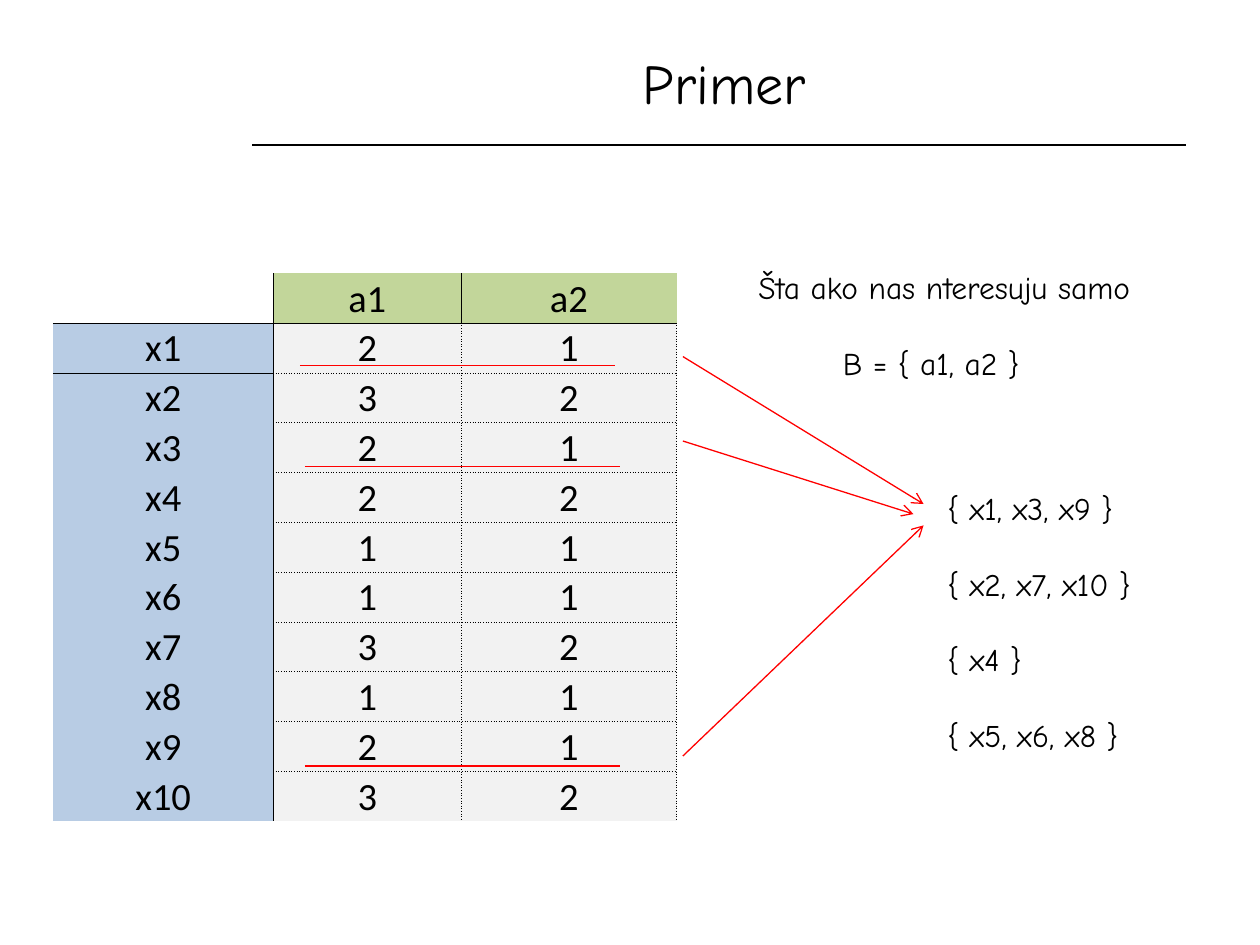
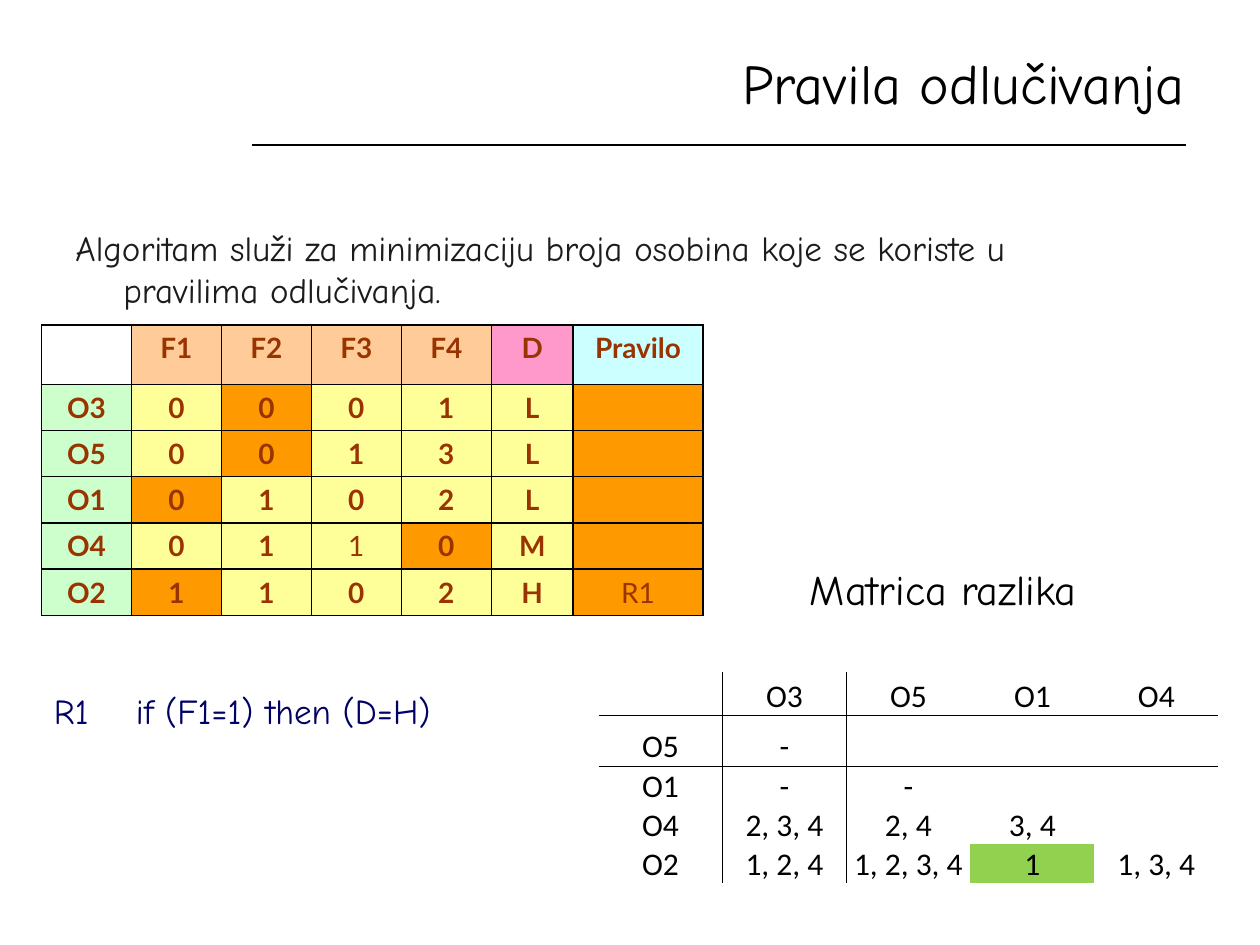
from lxml import etree
from pptx import Presentation
from pptx import util as u
from pptx.dml.color import RGBColor
from pptx.enum import shapes, text
from pptx.oxml import ns

BLACK = RGBColor(0x00, 0x00, 0x00)
CHARCOAL = RGBColor(0x1C, 0x1C, 0x1C)
NAVY = RGBColor(0x00, 0x00, 0x66)
RED = RGBColor(0xFF, 0x00, 0x00)
BROWN = RGBColor(0x99, 0x33, 0x00)
OLIVE = RGBColor(0xC2, 0xD6, 0x9A)
STEEL = RGBColor(0xB8, 0xCC, 0xE4)
GRAY = RGBColor(0xF2, 0xF2, 0xF2)
PEACH = RGBColor(0xFF, 0xCC, 0x99)
PINK = RGBColor(0xFF, 0x99, 0xCC)
CYAN = RGBColor(0xCC, 0xFF, 0xFF)
MINT = RGBColor(0xCC, 0xFF, 0xCC)
YELLOW = RGBColor(0xFF, 0xFF, 0x99)
ORANGE = RGBColor(0xFF, 0x99, 0x00)
GREEN = RGBColor(0x92, 0xD0, 0x50)

HAND_FONT = "Comic Neue"
NO_STYLE = "{2D5ABB26-0587-4C30-8999-92F81FD0307C}"
TIGHT = (0.01, 0.01, 0.01, 0)
ROOMY = (0.1, 0.05, 0.1, 0.05)
THIN = (0.5, "solid")
DOTTED = (0.5, "sysDot")
FRAME = (1, "solid")
LEFT, CENTER, RIGHT = text.PP_ALIGN.LEFT, text.PP_ALIGN.CENTER, text.PP_ALIGN.RIGHT
TOP, MIDDLE, BOTTOM = (text.MSO_ANCHOR.TOP, text.MSO_ANCHOR.MIDDLE,
                       text.MSO_ANCHOR.BOTTOM)


def add_element(parent, tag, **attributes):
    element = etree.SubElement(parent, ns.qn(tag))
    for name, value in attributes.items():
        element.set(name, str(value))
    return element


def set_font(paragraph, name, size, color, bold=False):
    font = paragraph.font
    font.name, font.size, font.bold = name, u.Pt(size), bold
    font.color.rgb = color


def set_indent(paragraph, left, first=0):
    properties = paragraph._p.get_or_add_pPr()
    properties.set("marL", str(u.Inches(left)))
    properties.set("indent", str(u.Inches(first)))


def add_text(slide, box, lines, size, color=BLACK, align=LEFT, anchor=TOP,
             gap=0, tab=None):
    """Add one paragraph per line, gap points apart; return the paragraphs."""
    frame = slide.shapes.add_textbox(*map(u.Inches, box)).text_frame
    frame.word_wrap = True
    frame.vertical_anchor = anchor
    for index, line in enumerate(lines):
        paragraph = frame.add_paragraph() if index else frame.paragraphs[0]
        paragraph.text = line
        paragraph.alignment = align
        if index:
            paragraph.space_before = u.Pt(gap)
        if tab:
            stops = add_element(paragraph._p.get_or_add_pPr(), "a:tabLst")
            add_element(stops, "a:tab", pos=u.Inches(tab), algn="l")
        set_font(paragraph, HAND_FONT, size, color)
    return frame.paragraphs


def add_line(slide, start, end, color, arrow=False):
    connector = slide.shapes.add_connector(
        shapes.MSO_CONNECTOR.STRAIGHT, *map(u.Inches, (*start, *end)))
    connector.line.color.rgb = color
    connector.line.width = u.Pt(0.75)
    if arrow:
        add_element(connector.line._get_or_add_ln(), "a:tailEnd", type="arrow")
    add_element(connector._element.spPr, "a:effectLst")


def add_border(cell, side, border):
    width, dash = border
    line = add_element(cell._tc.get_or_add_tcPr(), f"a:ln{side}", w=u.Pt(width))
    add_element(add_element(line, "a:solidFill"), "a:srgbClr", val=BLACK)
    add_element(line, "a:prstDash", val=dash)


def add_grid(slide, place, columns, rows, values, font, fill, vertical,
             horizontal, margins=TIGHT, anchor=MIDDLE, plain=()):
    """Add a table; fill takes (row, column), vertical and horizontal give the
    border at (row, column edge) and (row edge, column)."""
    box = (*place, sum(columns), sum(rows))
    frame = slide.shapes.add_table(len(rows), len(columns), *map(u.Inches, box))
    table = frame.table
    table.first_row = table.horz_banding = False
    next(frame._element.iter(ns.qn("a:tableStyleId"))).text = NO_STYLE
    for column, width in zip(table.columns, columns):
        column.width = u.Inches(width)
    for row, height in zip(table.rows, rows):
        row.height = u.Inches(height)
    name, size, color, bold = font
    for r in range(len(rows)):
        for c in range(len(columns)):
            cell = table.cell(r, c)
            (cell.margin_left, cell.margin_top, cell.margin_right,
             cell.margin_bottom) = map(u.Inches, margins)
            cell.vertical_anchor = anchor
            paragraph = cell.text_frame.paragraphs[0]
            paragraph.text = values[r][c]
            paragraph.alignment = CENTER
            set_font(paragraph, name, size, color, bold and (r, c) not in plain)
            edges = {"L": vertical(r, c), "R": vertical(r, c + 1),
                     "T": horizontal(r, c), "B": horizontal(r + 1, c)}
            for side, border in edges.items():
                if border:
                    add_border(cell, side, border)
            cell_color = fill(r, c)
            if cell_color is None:
                cell.fill.background()
            else:
                cell.fill.solid()
                cell.fill.fore_color.rgb = cell_color


def add_titled_slide(presentation, title, align):
    slide = presentation.slides.add_slide(presentation.slide_layouts[6])
    add_line(slide, (2, 1.15), (9.41, 1.15), BLACK)
    add_text(slide, (2, 0.28, 7.5, 0.75), [title], 32, align=align, anchor=MIDDLE)
    return slide


def add_attribute_table(slide, place):
    pairs = ["21", "32", "21", "22", "11", "11", "32", "11", "21", "32"]
    values = [["", "a1", "a2"]]
    values += [[f"x{n}", *pair] for n, pair in enumerate(pairs, 1)]

    def fill(row, column):
        if row == 0:
            return OLIVE if column else None
        return GRAY if column else STEEL

    def vertical(row, edge):
        if edge == 1:
            return THIN
        return DOTTED if edge > 1 and row else None

    def horizontal(edge, column):
        if edge == 1:
            return THIN
        return DOTTED if 1 < edge < len(values) and column else None

    add_grid(slide, place, [1.75, 1.49, 1.71], [4.35 / 11] * 11, values,
             ("Calibri", 22, BLACK, False), fill, vertical, horizontal)


def add_rule_table(slide, place):
    values = [["", "F1", "F2", "F3", "F4", "D", "Pravilo"],
              ["O3", "0", "0", "0", "1", "L", ""],
              ["O5", "0", "0", "1", "3", "L", ""],
              ["O1", "0", "1", "0", "2", "L", ""],
              ["O4", "0", "1", "1", "0", "M", ""],
              ["O2", "1", "1", "0", "2", "H", "R1"]]
    header = [None, PEACH, PEACH, PEACH, PEACH, PINK, CYAN]
    deciding = {(1, 2), (2, 2), (3, 1), (4, 4), (5, 1)}

    def fill(row, column):
        if row == 0:
            return header[column]
        if column == 0:
            return MINT
        return ORANGE if column == 6 or (row, column) in deciding else YELLOW

    def border(row, column):
        return FRAME

    add_grid(slide, place, [3.57 / 5] * 5 + [0.65, 1.03],
             [0.47] + [1.83 / 5] * 5, values, ("Lato", 16, BROWN, True),
             fill, border, border, ROOMY, TOP, plain={(4, 3), (5, 6)})


def add_difference_matrix(slide, place):
    values = [["", "O3", "O5", "O1", "O4"],
              ["O5", "-", "", "", ""],
              ["O1", "-", "-", "", ""],
              ["O4", "2, 3, 4", "2, 4", "3, 4", ""],
              ["O2", "1, 2, 4", "1, 2, 3, 4", "1", "1, 3, 4"]]
    add_grid(slide, place, [4.92 / 5] * 5, [0.35, 0.4] + [0.31] * 3, values,
             ("Calibri", 18, BLACK, False),
             fill=lambda row, column: GREEN if (row, column) == (4, 3) else None,
             vertical=lambda row, edge: THIN if edge == 1 else None,
             horizontal=lambda edge, column: THIN if edge == 1 else None,
             anchor=BOTTOM)


def build_example_slide(presentation):
    slide = add_titled_slide(presentation, "Primer", CENTER)
    add_attribute_table(slide, (0.42, 2.17))
    classes = ["{ x1, x3, x9 }", "{ x2, x7, x10 }", "{ x4 }", "{ x5, x6, x8 }"]
    add_text(slide, (7.42, 3.83, 2.08, 2.22), classes, 18, gap=21.7)
    question = ["Šta ako nas nteresuju samo", "B = { a1, a2 }"]
    paragraphs = add_text(slide, (5.92, 2.08, 3.58, 1.01), question, 18, gap=21.7)
    set_indent(paragraphs[1], 0.67)
    for start_y, tip in [(2.83, (7.33, 4)), (3.5, (7.25, 4.08)), (6, (7.33, 4.17))]:
        add_line(slide, (5.42, start_y), tip, RED, arrow=True)
    for x, y in [(2.38, 2.9), (2.42, 3.7), (2.42, 6.08)]:
        add_line(slide, (x, y), (x + 2.5, y), RED)


def build_rules_slide(presentation):
    slide = add_titled_slide(presentation, "Pravila odlučivanja", RIGHT)
    purpose = ("Algoritam služi za minimizaciju broja osobina koje se koriste "
               "u pravilima odlučivanja.")
    paragraphs = add_text(slide, (0.5, 1.75, 8.42, 0.8), [purpose], 20, CHARCOAL)
    set_indent(paragraphs[0], 0.38, -0.38)
    add_rule_table(slide, (0.33, 2.58))
    add_difference_matrix(slide, (4.75, 5.33))
    add_text(slide, (6.33, 4.42, 2.92, 0.58), ["Matrica razlika"], 24)
    add_text(slide, (0.33, 5.42, 4.5, 0.44), ["R1\tif (F1=1) then (D=H)"], 20,
             NAVY, tab=0.65)


def main():
    presentation = Presentation()
    presentation.slide_width = u.Inches(10)
    presentation.slide_height = u.Inches(7.5)
    build_example_slide(presentation)
    build_rules_slide(presentation)
    presentation.save("out.pptx")


if __name__ == "__main__":
    main()
